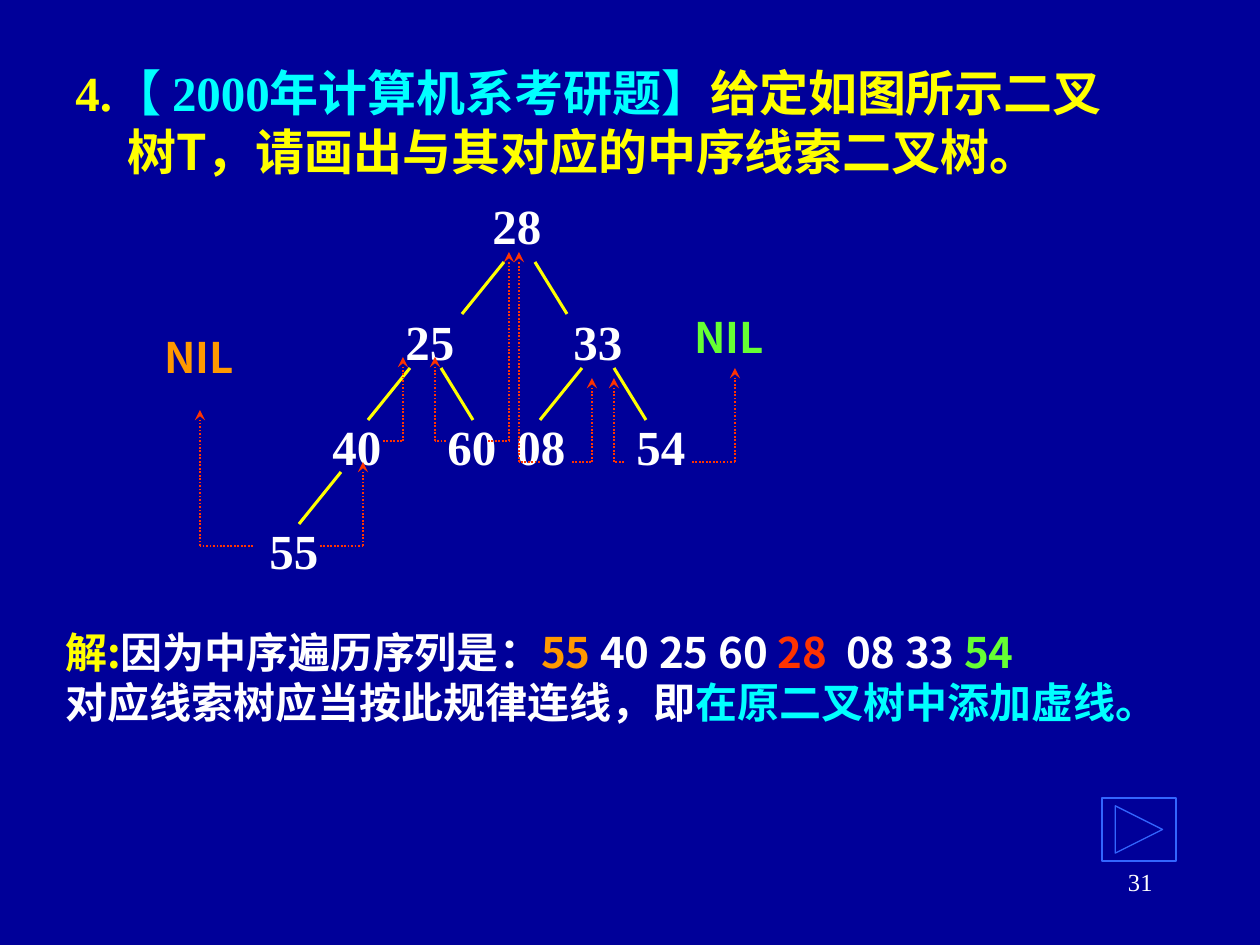
import pptx
import pptx.util
import pptx.dml.color
import pptx.enum.dml
import pptx.enum.shapes
import pptx.enum.text
import pptx.oxml
import pptx.oxml.ns

RGB = pptx.dml.color.RGBColor
NAVY = RGB(0x00, 0x00, 0x99)
WHITE = RGB(0xFF, 0xFF, 0xFF)
YELLOW = RGB(0xFF, 0xFF, 0x00)
CYAN = RGB(0x00, 0xFF, 0xFF)
ORANGE = RGB(0xFF, 0x99, 0x00)
RED = RGB(0xFF, 0x33, 0x00)
GREEN = RGB(0x66, 0xFF, 0x33)
BLUE = RGB(0x33, 0x66, 0xFF)
SERIF = "Times New Roman"
SANS = "Noto Sans CJK SC"
ALIGN = pptx.enum.text.PP_ALIGN
SCALE = 914400 / 126

TITLE = [[("4.", YELLOW, SERIF), ("【 2000年计算机系考研题】", CYAN, SERIF),
          ("给定如图所示二叉树T，请画出与其对应的中序线索二叉树。 ", YELLOW, SANS)]]
ANSWER = [
    [("解:", YELLOW, SANS), ("因为中序遍历序列是：", WHITE, SANS),
     ("55", ORANGE, SANS), (" 40 25 60 ", WHITE, SANS), ("28", RED, SANS),
     ("  08 33 ", WHITE, SANS), ("54", GREEN, SANS)],
    [("对应线索树应当按此规律连线，即", WHITE, SANS),
     ("在原二叉树中添加虚线。", CYAN, SANS)],
]
NODES = [("28", 480, 189), ("25", 393, 305), ("33", 561, 305), ("40", 320, 410),
         ("60", 435, 410), ("08", 504, 410), ("54", 624, 410), ("55", 257, 514)]
NILS = [(ORANGE, 152, 325), (GREEN, 682, 305)]
LEFT, RIGHT, DROP = -42, 32, 52
EDGES = [(504, 262, LEFT), (535, 262, RIGHT), (410, 368, LEFT), (441, 368, RIGHT),
         (582, 368, LEFT), (614, 368, RIGHT), (341, 472, LEFT)]
THREADS = [(253, 200, 546, 410), (320, 363, 546, 462), (383, 403, 441, 357),
           (446, 435, 441, 357), (488, 509, 441, 252), (540, 519, 462, 252),
           (572, 592, 462, 378), (624, 614, 462, 378), (692, 735, 462, 368)]


def px(n):
    return round(n * SCALE)


def place(shape, *box):
    shape.left, shape.top, shape.width, shape.height = map(px, box)


def write(shape, paras, size, bold=True, align=ALIGN.LEFT, wrap=True):
    frame = shape.text_frame
    frame.word_wrap = wrap
    frame.auto_size = pptx.enum.text.MSO_AUTO_SIZE.NONE
    frame.text = "\n".join("" for _ in paras)
    for para, runs in zip(frame.paragraphs, paras):
        para.alignment = align
        for text, color, face in runs:
            run = para.add_run()
            run.text = text
            font = run.font
            font.size = pptx.util.Pt(size)
            font.bold = bold
            font.color.rgb = color
            font.name = face
            east = pptx.oxml.parse_xml(
                f'<a:ea {pptx.oxml.ns.nsdecls("a")} typeface="{SANS}"/>')
            font._element.find(pptx.oxml.ns.qn("a:latin")).addnext(east)


def label(slide, box, paras, size, **style):
    shape = slide.shapes.add_textbox(*map(px, box))
    write(shape, paras, size, **style)


def line(slide, ends, color, width, dots=False, arrow=False):
    link = slide.shapes.add_connector(
        pptx.enum.shapes.MSO_CONNECTOR.STRAIGHT, *map(px, ends))
    link.line.color.rgb = color
    link.line.width = pptx.util.Pt(width)
    if dots:
        link.line.dash_style = pptx.enum.dml.MSO_LINE.ROUND_DOT
    space = pptx.oxml.ns.nsdecls("a")
    if arrow:
        link.line._get_or_add_ln().append(
            pptx.oxml.parse_xml(f'<a:tailEnd {space} type="stealth"/>'))
    link._element.spPr.append(pptx.oxml.parse_xml(f"<a:effectLst {space}/>"))


def main():
    deck = pptx.Presentation()
    deck.slide_width, deck.slide_height = px(1260), px(945)
    slide = deck.slides.add_slide(deck.slide_layouts[5])
    slide.background.fill.solid()
    slide.background.fill.fore_color.rgb = NAVY

    title = slide.shapes.title
    place(title, 53, 42, 1071, 158)
    write(title, TITLE, 28, align=ALIGN.CENTER)
    title.text_frame.vertical_anchor = pptx.enum.text.MSO_ANCHOR.MIDDLE

    for text, x, y in NODES:
        label(slide, (x, y, 74, 72), [[(text, WHITE, SERIF)]], 28, wrap=False)
    for x, y, run in EDGES:
        line(slide, (x, y, x + run, y + DROP), YELLOW, 1.75)
    for x, bend, y, top in THREADS:
        line(slide, (x, y, bend, y), RED, 1, dots=True)
        line(slide, (bend, y, bend, top), RED, 1, dots=True, arrow=True)
    for color, x, y in NILS:
        label(slide, (x, y, 101, 63), [[("NIL", color, SANS)]], 24, wrap=False)

    label(slide, (53, 620, 1124, 113), ANSWER, 24)

    button = slide.shapes.add_shape(
        pptx.enum.shapes.MSO_SHAPE.ACTION_BUTTON_FORWARD_OR_NEXT,
        *map(px, (1102, 798, 74, 63)))
    button.shadow.inherit = False
    button.fill.background()
    button.line.color.rgb = BLUE
    button.line.width = pptx.util.Pt(0.75)
    label(slide, (903, 861, 262, 63), [[("31", WHITE, SERIF)]], 14,
          bold=False, align=ALIGN.RIGHT)
    deck.save("out.pptx")


if __name__ == "__main__":
    main()
